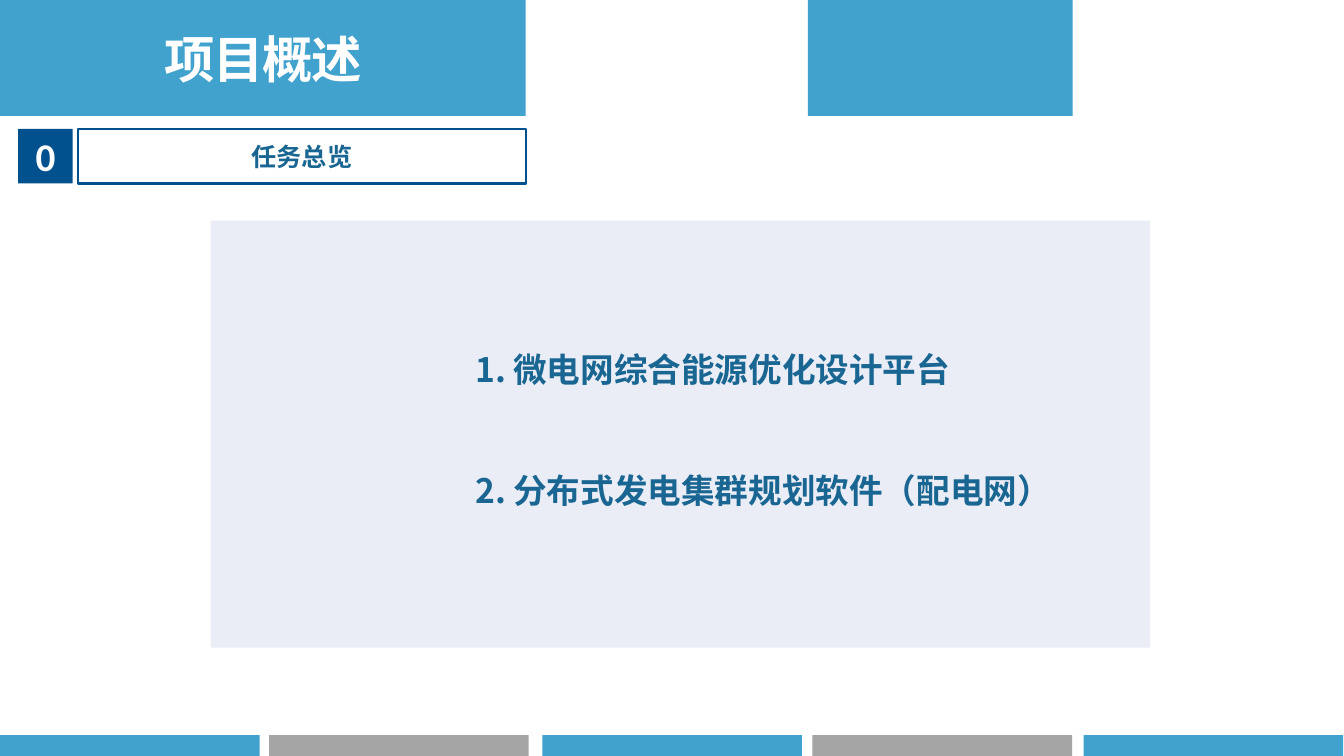
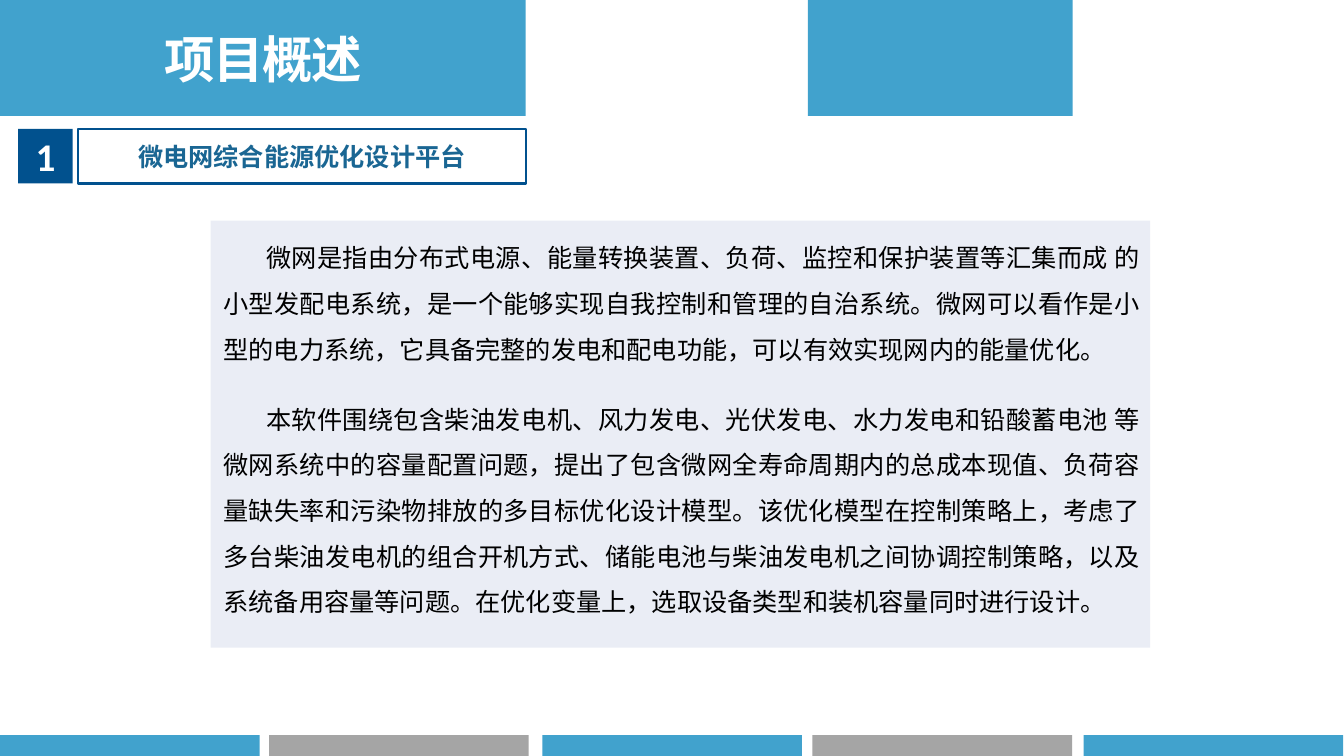
"""Build two project overview slides with shared header, footer and panel."""
from dataclasses import dataclass
from itertools import cycle

from lxml import etree
from pptx import Presentation
from pptx.dml.color import RGBColor
from pptx.enum import shapes, text
from pptx.oxml import ns
from pptx.util import Pt

COLORS = {
    "sky": "41A2CD",
    "gray": "A5A5A5",
    "navy": "01518E",
    "teal": "1A6693",
    "panel": "174292",
    "white": "FFFFFF",
    "black": "000000",
}
CJK = "Noto Sans CJK SC"
LATIN = "Calibri"
SLIDE_WIDTH, SLIDE_HEIGHT = 960, 540
FOOTER_LEFTS = (0, 192.2, 387.4, 580.3, 774)
FOOTER_WIDTH, FOOTER_TOP = 185.5, 525
TEXT_LEFT, TEXT_WIDTH = 152.6, 669


@dataclass(frozen=True)
class Box:
    left: float
    top: float
    width: float
    height: float

    def lengths(self):
        return [Pt(n) for n in (self.left, self.top, self.width, self.height)]


@dataclass(frozen=True)
class Section:
    number: str
    heading: str
    paragraphs: tuple[str, ...]
    numbered: bool


HEADER = Box(0, 0, 375.6, 82.8)
ACCENT = Box(577, 0, 189.2, 82.8)
BADGE = Box(13, 92.1, 39, 39)
HEADING = Box(55.6, 92.1, 320, 39)
PANEL = Box(150.5, 157.6, 671, 305)

SECTIONS = (
    Section("0", "任务总览", (
        "微电网综合能源优化设计平台",
        "分布式发电集群规划软件（配电网）",
    ), True),
    Section("1", "微电网综合能源优化设计平台", (
        "微网是指由分布式电源、能量转换装置、负荷、监控和保护装置等汇集而成 的"
        "小型发配电系统，是一个能够实现自我控制和管理的自治系统。微网可以看作是小"
        "型的电力系统，它具备完整的发电和配电功能，可以有效实现网内的能量优化。",
        "本软件围绕包含柴油发电机、风力发电、光伏发电、水力发电和铅酸蓄电池 等"
        "微网系统中的容量配置问题，提出了包含微网全寿命周期内的总成本现值、负荷容"
        "量缺失率和污染物排放的多目标优化设计模型。该优化模型在控制策略上，考虑了"
        "多台柴油发电机的组合开机方式、储能电池与柴油发电机之间协调控制策略，以及"
        "系统备用容量等问题。在优化变量上，选取设备类型和装机容量同时进行设计。",
    ), False),
)


def add_rect(slide, box: Box, fill: str | None = None, line: str | None = None,
             opacity: int = 100):
    """Draw a flat rectangle with optional fill, outline and opacity."""
    rect = slide.shapes.add_shape(shapes.MSO_SHAPE.RECTANGLE, *box.lengths())
    rect.shadow.inherit = False
    if fill:
        rect.fill.solid()
        rect.fill.fore_color.rgb = RGBColor.from_string(COLORS[fill])
    else:
        rect.fill.background()
    if line:
        rect.line.color.rgb = RGBColor.from_string(COLORS[line])
        rect.line.width = Pt(1.5)
    else:
        rect.line.fill.background()
    if opacity < 100:
        tint = rect.fill._xPr.find(".//" + ns.qn("a:srgbClr"))
        etree.SubElement(tint, ns.qn("a:alpha"), val=str(opacity * 1000))
    return rect


def write(paragraph, content: str, *, size: float, color: str, font: str = CJK,
          bold: bool = False, align=text.PP_ALIGN.CENTER, tracking: float = 0,
          line_height: float | None = None, after: float = 0,
          margin: float = 0, indent: float = 0, numbered: bool = False) -> None:
    """Write one formatted run into a paragraph."""
    paragraph.alignment = align
    paragraph.space_after = Pt(after)
    if line_height:
        paragraph.line_spacing = Pt(line_height)
    properties = paragraph._p.get_or_add_pPr()
    properties.set("marL", str(Pt(margin)))
    properties.set("indent", str(Pt(indent)))
    if numbered:
        etree.SubElement(properties, ns.qn("a:buAutoNum"), type="arabicPeriod")
    run = paragraph.add_run()
    run.text = content
    run.font.size = Pt(size)
    run.font.bold = bold
    run.font.name = font
    run.font.color.rgb = RGBColor.from_string(COLORS[color])
    run_properties = run.font._element
    etree.SubElement(run_properties, ns.qn("a:ea"), typeface=font)
    if tracking:
        run_properties.set("spc", str(int(tracking * 100)))


def add_label(slide, box: Box, content: str, *, fill: str | None = None,
              line: str | None = None, **style) -> None:
    """Draw a rectangle holding one centred line of text."""
    frame = add_rect(slide, box, fill, line).text_frame
    frame.word_wrap = True
    frame.vertical_anchor = text.MSO_ANCHOR.MIDDLE
    write(frame.paragraphs[0], content, bold=True, **style)


def add_body(slide, top: float, height: float, paragraphs: tuple[str, ...],
             **style) -> None:
    """Write the body paragraphs over the panel."""
    box = Box(TEXT_LEFT, top, TEXT_WIDTH, height)
    frame = slide.shapes.add_textbox(*box.lengths()).text_frame
    frame.word_wrap = True
    for index, content in enumerate(paragraphs):
        paragraph = frame.add_paragraph() if index else frame.paragraphs[0]
        write(paragraph, content, **style)


def add_frame(slide) -> None:
    """Draw the bands and panel that all slides share."""
    add_rect(slide, ACCENT, "sky")
    for left, color in zip(FOOTER_LEFTS, cycle(("sky", "gray"))):
        add_rect(slide, Box(left, FOOTER_TOP, FOOTER_WIDTH,
                            SLIDE_HEIGHT - FOOTER_TOP), color)
    add_rect(slide, PANEL, "panel", opacity=9)
    add_label(slide, HEADER, "项目概述", fill="sky", size=36, color="white",
              tracking=-1)


def add_section(slide, section: Section) -> None:
    """Draw the numbered heading and body of one section."""
    add_frame(slide)
    add_label(slide, BADGE, section.number, fill="navy", size=28,
              color="white", font=LATIN)
    add_label(slide, HEADING, section.heading, line="navy", size=18,
              color="teal")
    if section.numbered:
        add_body(slide, 238.2, 180, section.paragraphs, size=24, color="teal",
                 bold=True, align=text.PP_ALIGN.LEFT, line_height=36, after=51,
                 margin=207, indent=-27, numbered=True)
    else:
        add_body(slide, 158.7, 287, section.paragraphs, size=18, color="black",
                 align=text.PP_ALIGN.JUSTIFY, line_height=32.6, after=17.5,
                 indent=30.5)


def main() -> None:
    """Build and save the presentation."""
    deck = Presentation()
    deck.slide_width, deck.slide_height = Pt(SLIDE_WIDTH), Pt(SLIDE_HEIGHT)
    blank = deck.slide_layouts[6]
    for section in SECTIONS:
        add_section(deck.slides.add_slide(blank), section)
    deck.save("out.pptx")


if __name__ == "__main__":
    main()
